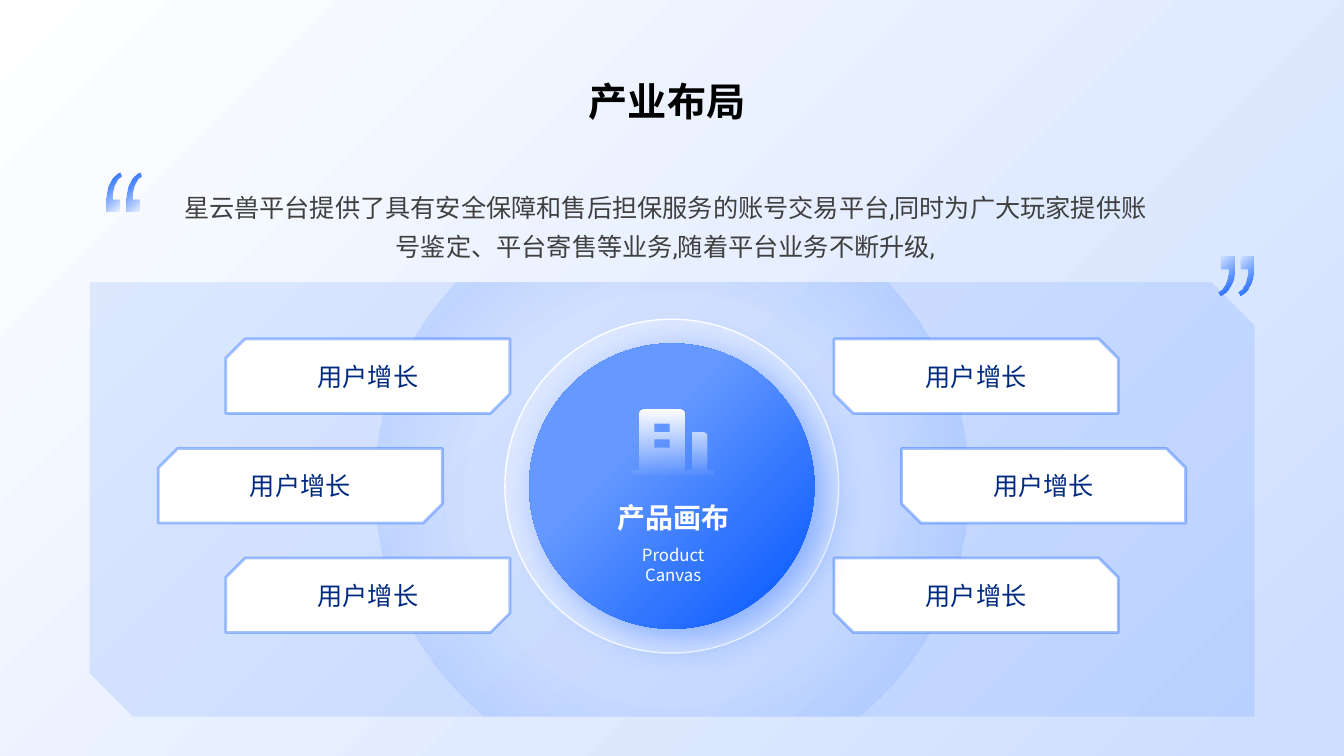
from lxml import etree
from pptx import Presentation
from pptx.dml.color import RGBColor
from pptx.enum.shapes import MSO_SHAPE
from pptx.enum.text import MSO_ANCHOR, PP_ALIGN
from pptx.oxml.ns import qn
from pptx.util import Cm, Pt

SNIPPED, OVAL = MSO_SHAPE.SNIP_2_DIAG_RECTANGLE, MSO_SHAPE.OVAL
CENTER, MIDDLE = PP_ALIGN.CENTER, MSO_ANCHOR.MIDDLE
LATIN, CJK = "Roboto", "Noto Sans CJK SC"
COLORS = {
    "blue": "0055FF", "sky": "6699FF", "pale": "CCDDFF", "white": "FFFFFF",
    "navy": "002A80", "grey": "404040", "black": "000000",
}
SLIDE_W, SLIDE_H = 33.87, 19.05
PANEL_BOX = (2.26, 7.11, 29.36, 10.95)
HUB_X, HUB_Y = 16.93, 12.25
CARD_W, CARD_H, CARD_TOP, CARD_STEP = 7.16, 1.88, 8.54, 2.76
CARD_LEFTS = (5.69, 3.99, 5.69)
LABEL_W, LABEL_H = 5.72, 1.02
FOCUS_CORNER = (0, 0, 100, 100)
FOCUS_CENTER = (50, 50, 50, 50)


def rgb(color):
    return RGBColor.from_string(COLORS[color])


def set_alpha(color_parent, percent):
    color = color_parent.find(".//" + qn("a:srgbClr"))
    etree.SubElement(color, qn("a:alpha"), val=str(percent * 1000))


def set_gradient(fill, owner, stops, angle=None, focus=None):
    """Fill owner with (position, color, opacity) stops, linear or circular."""
    fill.solid()
    solid = owner.find(qn("a:solidFill"))
    gradient = etree.Element(qn("a:gradFill"), rotWithShape="1")
    stop_list = etree.SubElement(gradient, qn("a:gsLst"))
    for position, color, opacity in stops:
        stop = etree.SubElement(stop_list, qn("a:gs"), pos=str(position * 1000))
        etree.SubElement(stop, qn("a:srgbClr"), val=COLORS[color])
        if opacity < 100:
            set_alpha(stop, opacity)
    if focus:
        circle = etree.SubElement(gradient, qn("a:path"), path="circle")
        sides = {side: str(value * 1000) for side, value in zip("ltrb", focus)}
        etree.SubElement(circle, qn("a:fillToRect"), sides)
    else:
        etree.SubElement(gradient, qn("a:lin"), ang=str(angle * 60000), scaled="0")
    owner.replace(solid, gradient)


def paint(shape, stops, **direction):
    shape.shadow.inherit = False
    shape.line.fill.background()
    set_gradient(shape.fill, shape._element.spPr, stops, **direction)


def add_preset(slide, kind, box, color, opacity=100, line=None):
    """line is (color, points, opacity)."""
    shape = slide.shapes.add_shape(kind, *map(Cm, box))
    shape.shadow.inherit = False
    shape.fill.solid()
    shape.fill.fore_color.rgb = rgb(color)
    properties = shape._element.spPr
    if opacity < 100:
        set_alpha(properties.find(qn("a:solidFill")), opacity)
    if line:
        line_color, points, line_opacity = line
        shape.line.color.rgb = rgb(line_color)
        shape.line.width = Pt(points)
        if line_opacity < 100:
            set_alpha(properties.find(qn("a:ln")), line_opacity)
    else:
        shape.line.fill.background()
    return shape


def add_outline(slide, outer, curves, holes=()):
    """curves lists where in outer two control points and an end point begin."""
    start, *rest = outer
    builder = slide.shapes.build_freeform(*map(Cm, start))
    builder.add_line_segments([tuple(map(Cm, point)) for point in rest])
    for start, *rest in holes:
        builder.move_to(*map(Cm, start))
        builder.add_line_segments([tuple(map(Cm, point)) for point in rest])
    shape = builder.convert_to_shape()
    segments = list(shape._element.spPr.iter(qn("a:lnTo")))
    for index in curves:
        bend = etree.Element(qn("a:cubicBezTo"))
        segments[index - 1].addprevious(bend)
        for segment in segments[index - 1:index + 2]:
            bend.append(segment[0])
            segment.getparent().remove(segment)
    return shape


def write(frame, text, size, color, font=LATIN, bold=False, spacing=None):
    frame.text = text
    paragraph = frame.paragraphs[0]
    paragraph.alignment = CENTER
    if spacing:
        paragraph.line_spacing = spacing
    run = paragraph.runs[0]
    run.font.size, run.font.bold, run.font.name = Pt(size), bold, font
    run.font.color.rgb = rgb(color)
    etree.SubElement(run._r.get_or_add_rPr(), qn("a:ea"), typeface=CJK)


def add_text(slide, box, text, size, color, wrap=True, **style):
    frame = slide.shapes.add_textbox(*map(Cm, box)).text_frame
    frame.word_wrap = wrap
    write(frame, text, size, color, **style)
    return frame


def add_card(slide, left, top, snips):
    card = add_preset(slide, SNIPPED, (left, top, CARD_W, CARD_H), "white",
                      line=("blue", 2, 34))
    card.adjustments[0], card.adjustments[1] = snips


def add_card_label(slide, left, top, text):
    box = (left + (CARD_W - LABEL_W) / 2, top + (CARD_H - LABEL_H) / 2,
           LABEL_W, LABEL_H)
    add_text(slide, box, text, 18, "navy").vertical_anchor = MIDDLE


def add_quote_mark(slide, x, y, direction, angle):
    """Two strokes from the corner x, y; direction -1 turns them half round."""
    stroke = [(0.33, 0), (0.38, 0.1), (0.23, 0.18), (0.15, 0.36), (0.15, 0.66),
              (0.33, 0.66), (0.33, 0.99), (0, 0.99), (0, 0.66),
              (0, 0.53), (0.03, 0.38), (0.1, 0.25),
              (0.15, 0.13), (0.23, 0.05), (0.33, 0)]
    for offset in (0, 0.5):
        mark = add_outline(slide, [(x + direction * (px + offset), y + direction * py)
                                   for px, py in stroke], curves=(2, 9, 12))
        paint(mark, [(0, "blue", 100), (100, "blue", 0)], angle=angle)


def add_halo(slide):
    """Large circle cut off by the panel's top and bottom edges."""
    half = [(5.44, 7.11), (5.87, 7.62), (6.89, 8.89), (7.48, 10.49), (7.48, 12.24),
            (7.48, 14.55), (6.41, 16.64), (4.76, 18.01), (4.69, 18.06)]
    right = [(HUB_X + dx, y) for dx, y in half]
    left = [(HUB_X - dx, y) for dx, y in reversed(half)]
    paint(add_outline(slide, right + left, curves=(2, 5, 11, 14)),
          [(56, "blue", 0), (100, "blue", 15)], focus=FOCUS_CENTER)


def add_disc(slide, diameter, color, **style):
    corner = (HUB_X - diameter / 2, HUB_Y - diameter / 2)
    return add_preset(slide, OVAL, (*corner, diameter, diameter), color, **style)


def add_glow(shape):
    effects = shape._element.spPr.find(qn("a:effectLst"))
    glow = etree.SubElement(effects, qn("a:outerShdw"), blurRad=str(Pt(29)),
                            dist=str(Pt(10)), dir=str(40 * 60000), rotWithShape="0")
    etree.SubElement(glow, qn("a:srgbClr"), val=COLORS["blue"])
    set_alpha(glow, 40)


def add_building_icon(slide):
    walls = [(17.8, 11.84), (17.98, 11.84), (17.98, 12.02), (15.93, 12.02),
             (15.93, 11.84), (16.1, 11.84), (16.1, 10.42), (16.1, 10.37),
             (16.15, 10.33), (16.2, 10.33), (17.15, 10.33), (17.2, 10.33),
             (17.25, 10.37), (17.25, 10.42), (17.25, 11.84), (17.42, 11.84),
             (17.42, 10.9), (17.71, 10.9), (17.76, 10.9), (17.8, 10.93),
             (17.8, 10.98), (17.8, 11.84)]
    windows = [[(16.48, top), (16.48, top + 0.2), (16.87, top + 0.2), (16.87, top)]
               for top in (11.08, 10.69)]
    paint(add_outline(slide, walls, curves=(7, 11, 18), holes=windows),
          [(0, "white", 100), (100, "white", 0)], angle=90)


def main():
    deck = Presentation()
    deck.slide_width, deck.slide_height = Cm(SLIDE_W), Cm(SLIDE_H)
    slide = deck.slides.add_slide(deck.slide_layouts[6])
    backdrop = slide.background.fill
    backdrop.solid()
    set_gradient(backdrop, slide.element.find(".//" + qn("p:bgPr")),
                 [(0, "white", 100), (100, "pale", 56)], focus=FOCUS_CORNER)

    panel = add_preset(slide, SNIPPED, PANEL_BOX, "blue", opacity=10)
    panel.adjustments[0], panel.adjustments[1] = 0, 0.1
    add_halo(slide)
    add_disc(slide, 8.41, "white", opacity=31, line=("white", 1, 100))

    tops = [CARD_TOP + row * CARD_STEP for row in range(len(CARD_LEFTS))]
    left_cards = list(zip(CARD_LEFTS, tops))
    right_cards = [(SLIDE_W - left - CARD_W, top) for left, top in left_cards]
    for cards, snips in ((left_cards, (0.26, 0)), (right_cards, (0, 0.26))):
        for left, top in cards:
            add_card(slide, left, top, snips)

    hub = add_disc(slide, 7.19, "blue")
    paint(hub, [(35, "sky", 100), (100, "blue", 100)], focus=FOCUS_CORNER)
    add_glow(hub)
    for left, top in left_cards + right_cards:
        add_card_label(slide, left, top, "用户增长")

    add_text(slide, (4.37, 4.49, 24.79, 2.16),
             "星云兽平台提供了具有安全保障和售后担保服务的账号交易平台,同时为广大玩家提供"
             "账号鉴定、平台寄售等业务,随着平台业务不断升级,", 18, "grey", spacing=1.3)
    add_quote_mark(slide, 31.6, 7.45, -1, 225)
    add_quote_mark(slide, 2.68, 4.35, 1, 45)
    add_text(slide, (15.29, 12.48, 3.35, 1.12), "产品画布", 20, "white",
             wrap=False, font=CJK, bold=True)
    add_building_icon(slide)
    add_text(slide, (15.21, 13.59, 3.51, 0.76), "Product Canvas", 12, "white", font=CJK)
    title = add_text(slide, (9.3, 1.83, 15.27, 1.44), "产业布局", 28, "black", bold=True)
    title.margin_left = 0
    deck.save("out.pptx")


if __name__ == "__main__":
    main()
